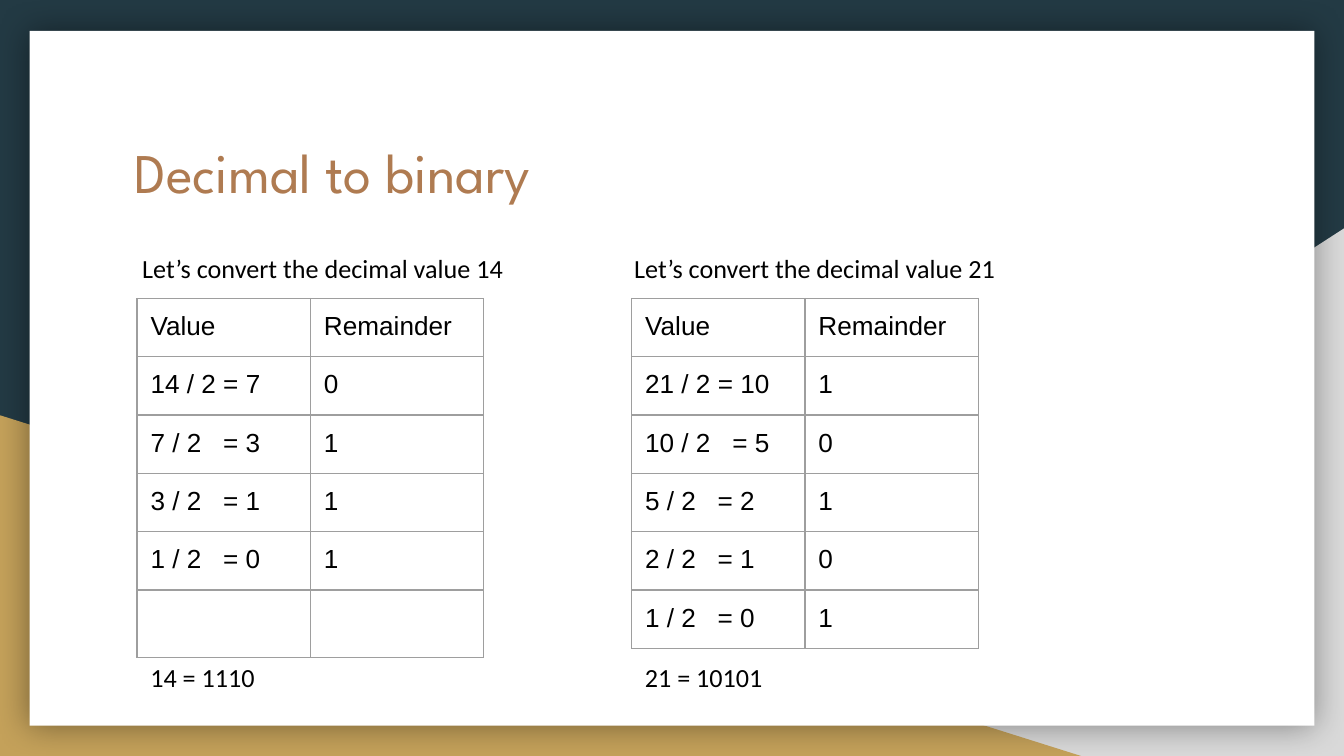
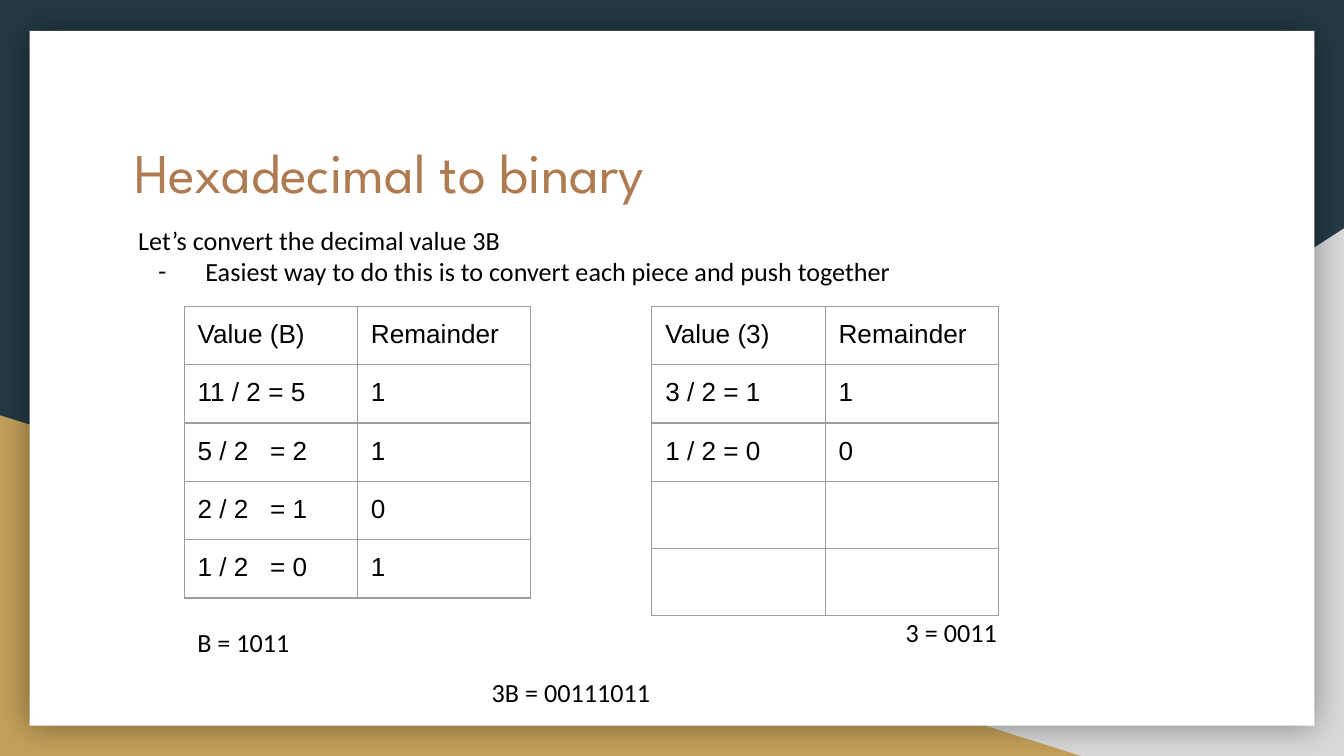
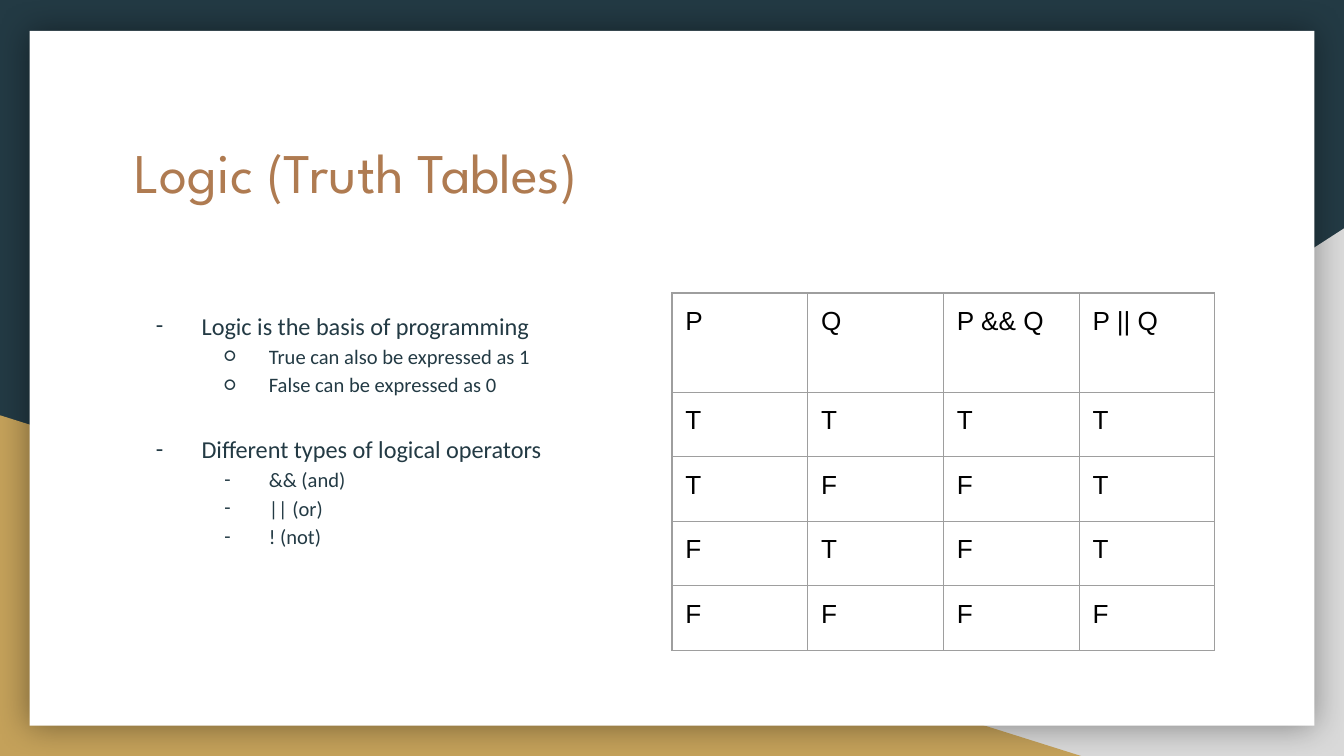
import pptx
import pptx.dml.color
import pptx.enum.shapes
import pptx.enum.text
import pptx.oxml.ns
import pptx.util
from lxml import etree

Inches = pptx.util.Inches
Pt = pptx.util.Pt
RGBColor = pptx.dml.color.RGBColor
qn = pptx.oxml.ns.qn

# Palette and fonts
NAVY = RGBColor(0x23, 0x3A, 0x44)
GOLD = RGBColor(0xC4, 0xA1, 0x5A)
SILVER = RGBColor(0xD9, 0xD9, 0xD9)
WHITE = RGBColor(0xFF, 0xFF, 0xFF)
BLACK = RGBColor(0x00, 0x00, 0x00)
BRONZE = RGBColor(0xAF, 0x7B, 0x51)
GRID = RGBColor(0x9E, 0x9E, 0x9E)
TITLE_FONT, TEXT_FONT, TABLE_FONT = "League Spartan", "Calibri", "Arial"

# Shared measures, in inches; the page is 16:9
PAGE_WIDTH = 10
PAGE_HEIGHT = PAGE_WIDTH * 9 / 16
PADDING = 0.1
LINE_BOX = 0.44
STEP_COLUMN = 1.29
TRUTH_COLUMN = 1.01
EQUALS_STOP = 0.54
DIGIT_WIDTH = 0.11

TITLE_BOX = (0.9, 0.92, 8.21, 1.04)
TITLE_ONLY, TITLE_AND_BODY = 5, 1


# Text helpers
def add_span(para, text, font, size, color):
    span = para.add_run()
    span.text = text
    span.font.name = font
    span.font.size = Pt(size)
    span.font.color.rgb = color


def set_bullet(para, mark, left, hanging, size, color):
    properties = para._p.get_or_add_pPr()
    properties.set("marL", str(Inches(left)))
    properties.set("indent", str(-Inches(hanging)))
    bullet_color = etree.SubElement(properties, qn("a:buClr"))
    etree.SubElement(bullet_color, qn("a:srgbClr"), val=str(color))
    etree.SubElement(properties, qn("a:buSzPts"), val=str(size * 100))
    etree.SubElement(properties, qn("a:buFont"), typeface=TEXT_FONT)
    etree.SubElement(properties, qn("a:buChar"), char=mark)


def set_tab_stop(para, position):
    stops = etree.SubElement(para._p.get_or_add_pPr(), qn("a:tabLst"))
    etree.SubElement(stops, qn("a:tab"), pos=str(Inches(position)), algn="l")


def pad(item):
    item.margin_left = item.margin_right = Inches(PADDING)
    item.margin_top = item.margin_bottom = Inches(PADDING)


def set_frame(frame, auto_size):
    pad(frame)
    frame.word_wrap = True
    frame.auto_size = auto_size
    frame.vertical_anchor = pptx.enum.text.MSO_ANCHOR.TOP


def place(shape, box):
    shape.left, shape.top, shape.width, shape.height = map(Inches, box)


def add_text(page, box, text, bullet_line=None):
    frame = page.shapes.add_textbox(*map(Inches, box)).text_frame
    set_frame(frame, pptx.enum.text.MSO_AUTO_SIZE.SHAPE_TO_FIT_TEXT)
    add_span(frame.paragraphs[0], text, TEXT_FONT, 14, BLACK)
    if bullet_line:
        para = frame.add_paragraph()
        set_bullet(para, "-", 0.5, 0.35, 14, BLACK)
        add_span(para, bullet_line, TEXT_FONT, 14, BLACK)


# Template: background, corner triangles and white card
def dress_master(deck, page):
    master = deck.slide_master
    master.background.fill.solid()
    master.background.fill.fore_color.rgb = NAVY
    kinds = pptx.enum.shapes.MSO_SHAPE
    parts = [
        (kinds.RIGHT_TRIANGLE, (3.92, 1.7, 6.08, 3.93), SILVER),
        (kinds.RIGHT_TRIANGLE, (0, 3.09, 8.06, 2.54), GOLD),
        (kinds.RECTANGLE, (0.22, 0.23, 9.56, 5.17), WHITE),
    ]
    shapes = []
    for order, (kind, box, color) in enumerate(parts):
        shape = page.shapes.add_shape(kind, *map(Inches, box))
        shape.fill.solid()
        shape.fill.fore_color.rgb = color
        shape.line.fill.background()
        shape.shadow.inherit = False
        # Behind the master's placeholders, with an id of its own
        shape.element.find(".//" + qn("p:cNvPr")).set("id", str(100 + order))
        master.shapes.element.insert(2 + order, shape.element)
        shapes.append(shape)
    silver_triangle, _, card = shapes
    silver_triangle.element.spPr.find(qn("a:xfrm")).set("flipH", "1")
    add_glow_shadow(card)


def add_glow_shadow(shape):
    effects = shape.element.spPr.find(qn("a:effectLst"))
    shadow = etree.SubElement(effects, qn("a:outerShdw"), blurRad=str(Pt(18)),
                              dist="0", dir="0", algn="ctr", rotWithShape="0")
    color = etree.SubElement(shadow, qn("a:srgbClr"), val=str(BLACK))
    etree.SubElement(color, qn("a:alpha"), val="40000")


def add_page(deck, layout, title):
    page = deck.slides.add_slide(deck.slide_layouts[layout])
    place(page.shapes.title, TITLE_BOX)
    frame = page.shapes.title.text_frame
    set_frame(frame, pptx.enum.text.MSO_AUTO_SIZE.NONE)
    para = frame.paragraphs[0]
    para.alignment = pptx.enum.text.PP_ALIGN.LEFT
    add_span(para, title, TITLE_FONT, 30, BRONZE)
    return page


# Tables
def style_cell(cell, text):
    pad(cell)
    properties = cell._tc.get_or_add_tcPr()
    for side in ("a:lnL", "a:lnR", "a:lnT", "a:lnB"):
        line = etree.SubElement(properties, qn(side), w=str(Pt(0.75)))
        fill = etree.SubElement(line, qn("a:solidFill"))
        etree.SubElement(fill, qn("a:srgbClr"), val=str(GRID))
    cell.fill.background()
    if text:
        para = cell.text_frame.paragraphs[0]
        add_span(para, text, TABLE_FONT, 14, BLACK)
        if "\t" in text:
            # Keep the equals signs aligned; a longer dividend moves the stop
            extra = len(text.split("\t")[0]) - len("1 / 2")
            set_tab_stop(para, EQUALS_STOP + extra * DIGIT_WIDTH)


def add_grid(page, left, top, column_width, row_heights, rows):
    columns = len(rows[0])
    table = page.shapes.add_table(
        len(rows), columns, Inches(left), Inches(top),
        Inches(column_width * columns), Inches(sum(row_heights))).table
    table.first_row = table.horz_banding = False
    for column in table.columns:
        column.width = Inches(column_width)
    for row, height, texts in zip(table.rows, row_heights, rows):
        row.height = Inches(height)
        for cell, text in zip(row.cells, texts):
            style_cell(cell, text)


def add_steps(page, left, top, heading, steps, row_count):
    rows = [(heading, "Remainder"), *steps]
    rows += [("", "")] * (row_count - len(rows))
    heights = [0.33 if index < 4 else 0.35 for index in range(row_count)]
    add_grid(page, left, top, STEP_COLUMN, heights, rows)


# Slide 1
def build_decimal(page):
    conversions = [
        (1.02, (0.96, 1.78, 4.3, 0.67), "14", "1110",
         [("14 / 2 = 7", "0"), ("7 / 2\t= 3", "1"), ("3 / 2\t= 1", "1"),
          ("1 / 2\t= 0", "1")]),
        (4.7, (4.62, 1.78, 3.84, LINE_BOX), "21", "10101",
         [("21 / 2 = 10", "1"), ("10 / 2\t= 5", "0"), ("5 / 2\t= 2", "1"),
          ("2 / 2\t= 1", "0"), ("1 / 2\t= 0", "1")]),
    ]
    for left, intro_box, decimal, binary, steps in conversions:
        add_text(page, intro_box, f"Let’s convert the decimal value {decimal}")
        add_steps(page, left, 2.22, "Value", steps, 6)
        add_text(page, (left, 4.82, 4.66, LINE_BOX), f"{decimal} = {binary}")


# Slide 2
def build_hexadecimal(page):
    add_text(page, (0.93, 1.57, 6.82, 0.91),
             "Let’s convert the decimal value 3B",
             "Easiest way to do this is to convert each piece and push together")
    digits = [
        (1.37, "B", (1.37, 4.56), "1011",
         [("11 / 2 = 5", "1"), ("5 / 2\t= 2", "1"), ("2 / 2\t= 1", "0"),
          ("1 / 2\t= 0", "1")]),
        (4.85, "3", (6.64, 4.49), "0011",
         [("3 / 2 = 1", "1"), ("1 / 2 = 0", "0")]),
    ]
    for left, digit, corner, binary, steps in digits:
        add_steps(page, left, 2.28, f"Value ({digit})", steps, 5)
        add_text(page, (*corner, 2.58, LINE_BOX), f"{digit} = {binary}")
    add_text(page, (3.56, 4.93, 2.58, LINE_BOX), "3B = 00111011")


# Slide 3
def build_logic(page):
    fill_logic_list(page.placeholders[1], (0.9, 2.18, 8.21, 2.68))
    rows = [("P", "Q", "P && Q", "P || Q"),
            *map(tuple, ("TTTT", "TFFT", "FTFT", "FFFF"))]
    add_grid(page, 5, 2.18, TRUTH_COLUMN, [0.74] + [0.48] * 4, rows)


def fill_logic_list(body, box):
    place(body, box)
    frame = body.text_frame
    set_frame(frame, pptx.enum.text.MSO_AUTO_SIZE.NONE)
    # Level, bullet, text, space before in points
    items = [
        (0, "-", "Logic is the basis of programming", 0),
        (1, "○", "True can also be expressed as 1", 0),
        (1, "○", "False can be expressed as 0", 0),
        (0, "-", "Different types of logical operators", 18),
        (1, "-", "&& (and)", 0),
        (1, "-", "|| (or)", 0),
        (1, "-", "! (not)", 0),
    ]
    for index, (level, mark, text, gap) in enumerate(items):
        size, hanging = ((13, 0.34), (11, 0.33))[level]
        para = frame.add_paragraph() if index else frame.paragraphs[0]
        para.level = level
        para.line_spacing = 1.15
        para.space_before = Pt(gap)
        set_bullet(para, mark, 0.5 * (level + 1), hanging, size, NAVY)
        add_span(para, text, TEXT_FONT, size, NAVY)


def main():
    deck = pptx.Presentation()
    deck.slide_width, deck.slide_height = Inches(PAGE_WIDTH), Inches(PAGE_HEIGHT)
    decimal_page = add_page(deck, TITLE_ONLY, "Decimal to binary")
    dress_master(deck, decimal_page)
    build_decimal(decimal_page)
    build_hexadecimal(add_page(deck, TITLE_ONLY, "Hexadecimal to binary"))
    build_logic(add_page(deck, TITLE_AND_BODY, "Logic (Truth Tables)"))
    deck.save("out.pptx")


if __name__ == "__main__":
    main()
